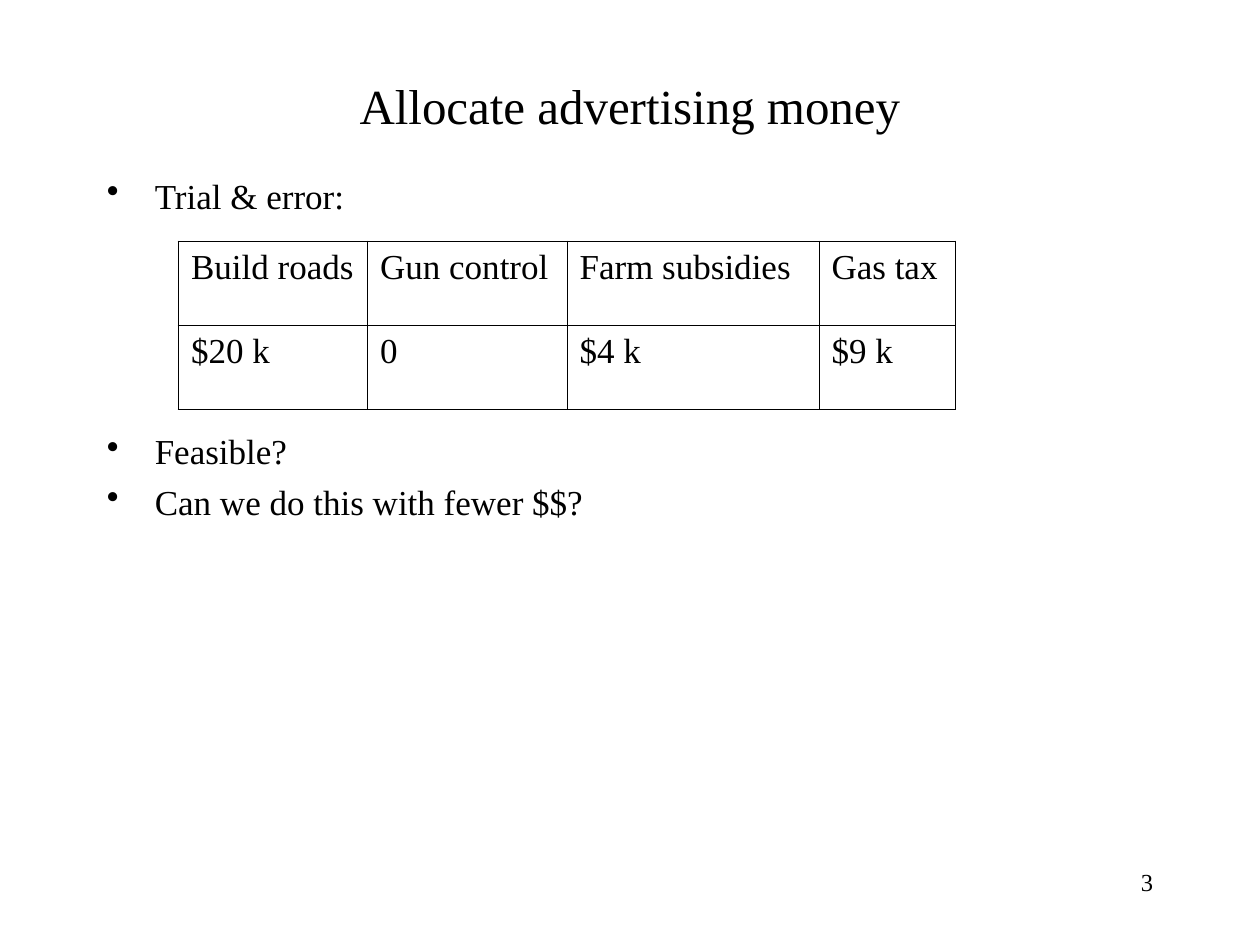
from lxml import etree
from pptx import Presentation
from pptx import util as u
from pptx.dml.color import RGBColor
from pptx.enum import text
from pptx.oxml.ns import qn

COLORS = {"ink": "000000", "paper": "FFFFFF"}
FONT = "Times New Roman"
GRID = u.Inches(1) / 12  # the slide is 120 columns by 90 rows
THIN, THICK = 0.45, 1.08


def cells(*counts):
    return [round(count * GRID) for count in counts]


class SlideBuilder:
    def __init__(self, slide):
        self.slide = slide
        fill = slide.background.fill
        fill.solid()
        fill.fore_color.rgb = RGBColor.from_string(COLORS["paper"])

    def style(self, para, size, align=text.PP_ALIGN.LEFT, before=0):
        para.alignment = align
        para.space_before = u.Pt(before)
        para.font.size = u.Pt(size)
        para.font.name = FONT
        para.font.color.rgb = RGBColor.from_string(COLORS["ink"])

    def text_box(self, area, anchor=text.MSO_ANCHOR.TOP):
        frame = self.slide.shapes.add_textbox(*cells(*area)).text_frame
        frame.word_wrap = True
        frame.vertical_anchor = anchor
        return frame

    def line(self, area, wording, size, align, anchor=text.MSO_ANCHOR.TOP):
        para = self.text_box(area, anchor).paragraphs[0]
        para.text = wording
        self.style(para, size, align)

    def bullets(self, area, items, size):
        frame = self.text_box(area)
        for index, (wording, before) in enumerate(items):
            para = frame.add_paragraph() if index else frame.paragraphs[0]
            para.text = wording
            self.style(para, size, before=before)
            props = para._p.get_or_add_pPr()
            indent = u.Inches(0.38)
            props.set("marL", str(indent))
            props.set("indent", str(-indent))
            etree.SubElement(props, qn("a:buChar"), char="•")
            # Bullet must come before the default run properties
            props.append(props.find(qn("a:defRPr")))

    def border(self, cell, side, width):
        props = cell._tc.get_or_add_tcPr()
        edge = etree.SubElement(props, qn(f"a:ln{side}"), w=str(u.Pt(width)))
        fill = etree.SubElement(edge, qn("a:solidFill"))
        etree.SubElement(fill, qn("a:srgbClr"), val=COLORS["ink"])

    def table(self, left, top, columns, row_height, rows, size):
        area = cells(left, top, sum(columns), row_height * len(rows))
        table = self.slide.shapes.add_table(len(rows), len(columns), *area).table
        table.first_row = table.horz_banding = False
        for column, width in zip(table.columns, cells(*columns)):
            column.width = width
        last_row, last_column = len(rows) - 1, len(columns) - 1
        for r, row in enumerate(rows):
            for c, wording in enumerate(row):
                cell = table.cell(r, c)
                cell.text = wording
                self.style(cell.text_frame.paragraphs[0], size, before=5)
                outer = {"L": c == 0, "R": c == last_column,
                         "T": r == 0, "B": r == last_row}
                for side, is_outer in outer.items():
                    self.border(cell, side, THICK if is_outer else THIN)
                cell.fill.background()


def main():
    deck = Presentation()
    deck.slide_width, deck.slide_height = cells(120, 90)
    page = SlideBuilder(deck.slides.add_slide(deck.slide_layouts[6]))

    # Title
    page.line((9, 6, 102, 8), "Allocate advertising money", 28,
              text.PP_ALIGN.CENTER, text.MSO_ANCHOR.MIDDLE)

    # Bullets, with room for the table after the first
    page.bullets((9, 16, 50, 64), [
        ("Trial & error:", 5),
        ("Feasible?", 122),
        ("Can we do this with fewer $$?", 5),
    ], 20)

    # Spending table
    page.table(17, 23, (18, 19, 24, 13), 8, [
        ("Build roads", "Gun control", "Farm subsidies", "Gas tax"),
        ("$20 k", "0", "$4 k", "$9 k"),
    ], 20)

    # Page number
    page.line((86, 82, 25, 6), "3", 14, text.PP_ALIGN.RIGHT)

    deck.save("out.pptx")


if __name__ == "__main__":
    main()
